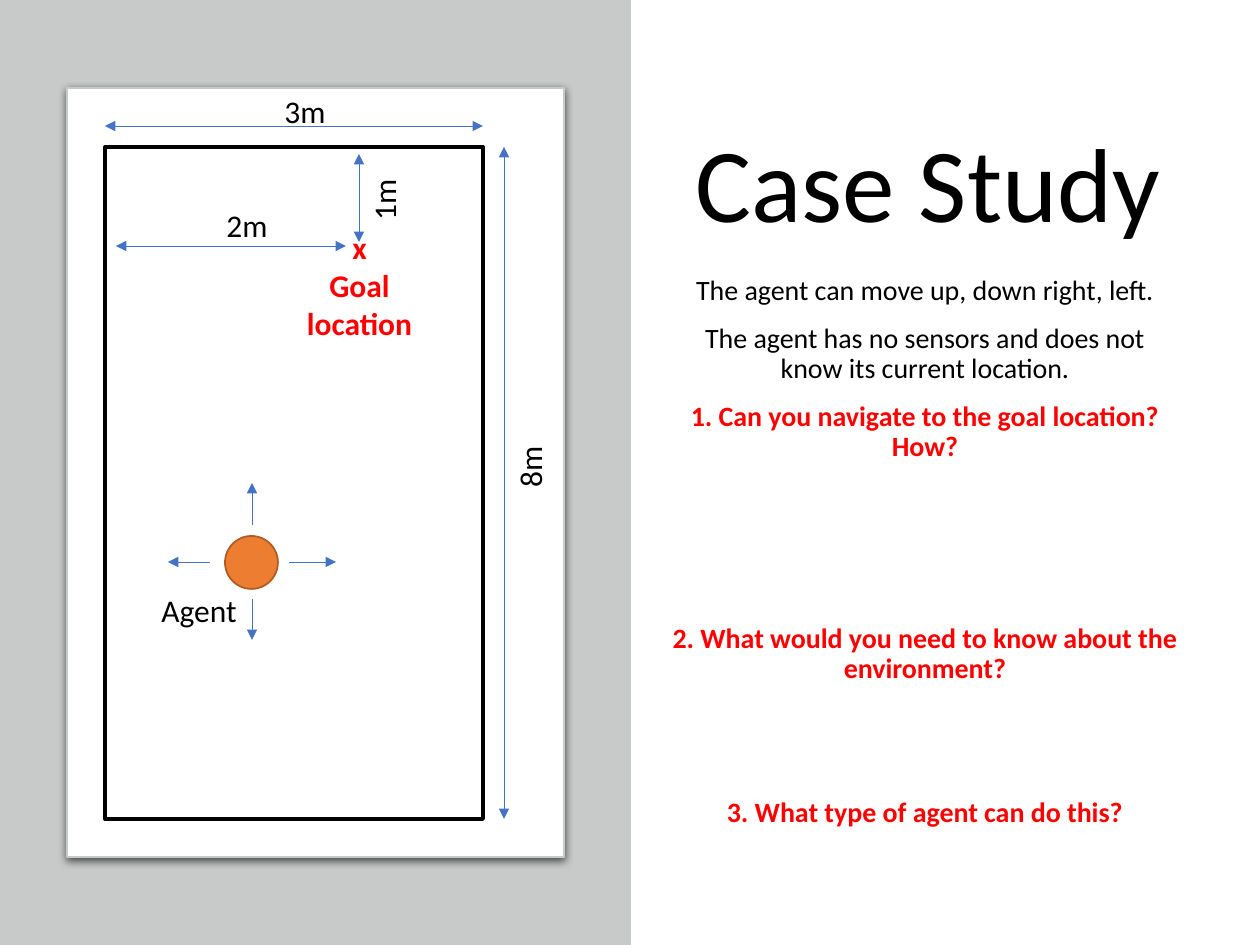
from lxml.etree import SubElement
from pptx import Presentation
from pptx.dml.color import RGBColor
from pptx.enum.shapes import MSO_CONNECTOR, MSO_SHAPE
from pptx.enum.text import MSO_ANCHOR, PP_ALIGN
from pptx.oxml import parse_xml
from pptx.oxml.ns import nsdecls, qn
from pptx.util import Emu, Pt

FONT = "Calibri"
BLACK, RED, BLUE = "000000", "FF0000", "4472C4"
GRAY, WHITE, ORANGE, BROWN = "C8CACA", "FFFFFF", "ED7D31", "AF5C24"

TITLE = "Case Study"
SPACE_BEFORE = 10
ANSWER_LINE = 27.5
BODY = [
    ("The agent can move up, down right, left.", False, 0),
    ("The agent has no sensors and does not know its current location.", False, 0),
    ("1. Can you navigate to the goal location? How?", True, 0),
    ("2. What would you need to know about the environment?", True, 3),
    ("3. What type of agent can do this?", True, 2),
]
GOAL = ["x", "Goal", "location"]

PANELS = [
    (MSO_SHAPE.RECTANGLE, (0, 0, 631, 945), GRAY, None, 0),
    (MSO_SHAPE.ROUNDED_RECTANGLE, (67, 88, 497, 769), WHITE, GRAY, 0.75),
    (MSO_SHAPE.RECTANGLE, (105, 147, 378, 672), None, BLACK, 2.25),
    (MSO_SHAPE.OVAL, (225, 536, 53, 53), ORANGE, BROWN, 1),
]
MOVES = [
    (252, 525, 252, 483),
    (252, 599, 252, 640),
    (210, 562, 168, 562),
    (289, 562, 336, 562),
]
DIMENSIONS = [
    (105, 126, 483, 126),
    (504, 819, 504, 147),
    (359, 242, 359, 154),
    (116, 246, 346, 246),
]
LABELS = [
    ("3m", (272, 86, 67, 50), 0),
    ("8m", (496, 441, 67, 50), 270),
    ("2m", (214, 200, 67, 50), 0),
    ("1m", (350, 174, 67, 50), 270),
    ("Agent", (149, 585, 106, 50), 0),
]


def px(value):
    return Emu(round(value * 914400 / 126))


def color(value):
    return RGBColor.from_string(value)


def add_text(slide, box, paragraphs, size, align=PP_ALIGN.LEFT, wrap=False,
             anchor=MSO_ANCHOR.TOP, spacing=1.0):
    shape = slide.shapes.add_textbox(*map(px, box))
    frame = shape.text_frame
    frame.word_wrap = wrap
    frame.vertical_anchor = anchor
    for index, (text, ink, bold, before) in enumerate(paragraphs):
        paragraph = frame.add_paragraph() if index else frame.paragraphs[0]
        paragraph.alignment = align
        paragraph.line_spacing = spacing
        paragraph.space_before = Pt(before if index else 0)
        run = paragraph.add_run()
        run.text = text
        run.font.name = FONT
        run.font.size = Pt(size)
        run.font.bold = bold
        run.font.color.rgb = color(ink)
    return shape


def add_panel(slide, kind, box, fill, line, width):
    shape = slide.shapes.add_shape(kind, *map(px, box))
    shape.shadow.inherit = False
    if fill:
        shape.fill.solid()
        shape.fill.fore_color.rgb = color(fill)
    else:
        shape.fill.background()
    if line:
        shape.line.color.rgb = color(line)
        shape.line.width = Pt(width)
    else:
        shape.line.fill.background()
    return shape


def add_card_shadow(shape):
    effects = shape.element.spPr.find(qn("a:effectLst"))
    effects.append(parse_xml(
        f'<a:outerShdw {nsdecls("a")} blurRad="{Pt(4.5)}" dist="{Pt(1.5)}" '
        'dir="5400000" algn="ctr" rotWithShape="0">'
        f'<a:srgbClr val="{BLACK}"><a:alpha val="63000"/></a:srgbClr></a:outerShdw>'))


def add_arrow(slide, points, ends):
    connector = slide.shapes.add_connector(MSO_CONNECTOR.STRAIGHT, *map(px, points))
    connector.line.color.rgb = color(BLUE)
    connector.line.width = Pt(0.5)
    line = connector.line._get_or_add_ln()
    for end in ends:
        SubElement(line, qn(f"a:{end}"), type="triangle")
    SubElement(connector.element.spPr, qn("a:effectLst"))


def main():
    presentation = Presentation()
    presentation.slide_width, presentation.slide_height = px(1260), px(945)
    slide = presentation.slides.add_slide(presentation.slide_layouts[6])

    add_text(slide, (663, 88, 530, 163), [(TITLE, BLACK, False, 0)], 60,
             PP_ALIGN.CENTER, True, MSO_ANCHOR.BOTTOM, 0.9)
    body = [(text, RED if question else BLACK, question, SPACE_BEFORE + gap * ANSWER_LINE)
            for text, question, gap in BODY]
    add_text(slide, (660, 270, 530, 587), body, 16, PP_ALIGN.CENTER, True, spacing=0.9)

    for kind, *style in PANELS:
        shape = add_panel(slide, kind, *style)
        if kind == MSO_SHAPE.ROUNDED_RECTANGLE:
            shape.adjustments[0] = 0
            add_card_shadow(shape)

    for points in MOVES:
        add_arrow(slide, points, ["tailEnd"])
    for points in DIMENSIONS:
        add_arrow(slide, points, ["headEnd", "tailEnd"])

    add_text(slide, (294, 222, 131, 127), [(text, RED, True, 0) for text in GOAL], 18,
             PP_ALIGN.CENTER)
    for text, box, rotation in LABELS:
        add_text(slide, box, [(text, BLACK, False, 0)], 18).rotation = rotation

    presentation.save("out.pptx")


if __name__ == "__main__":
    main()
